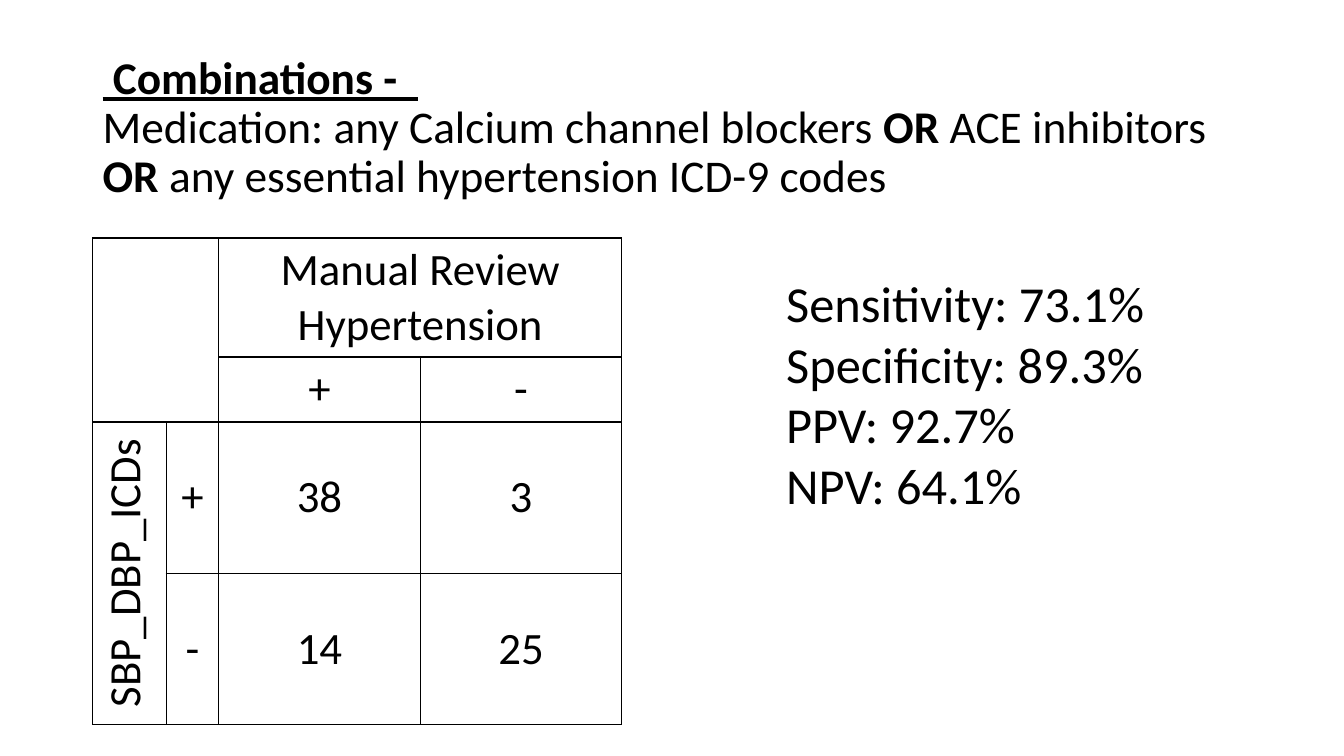
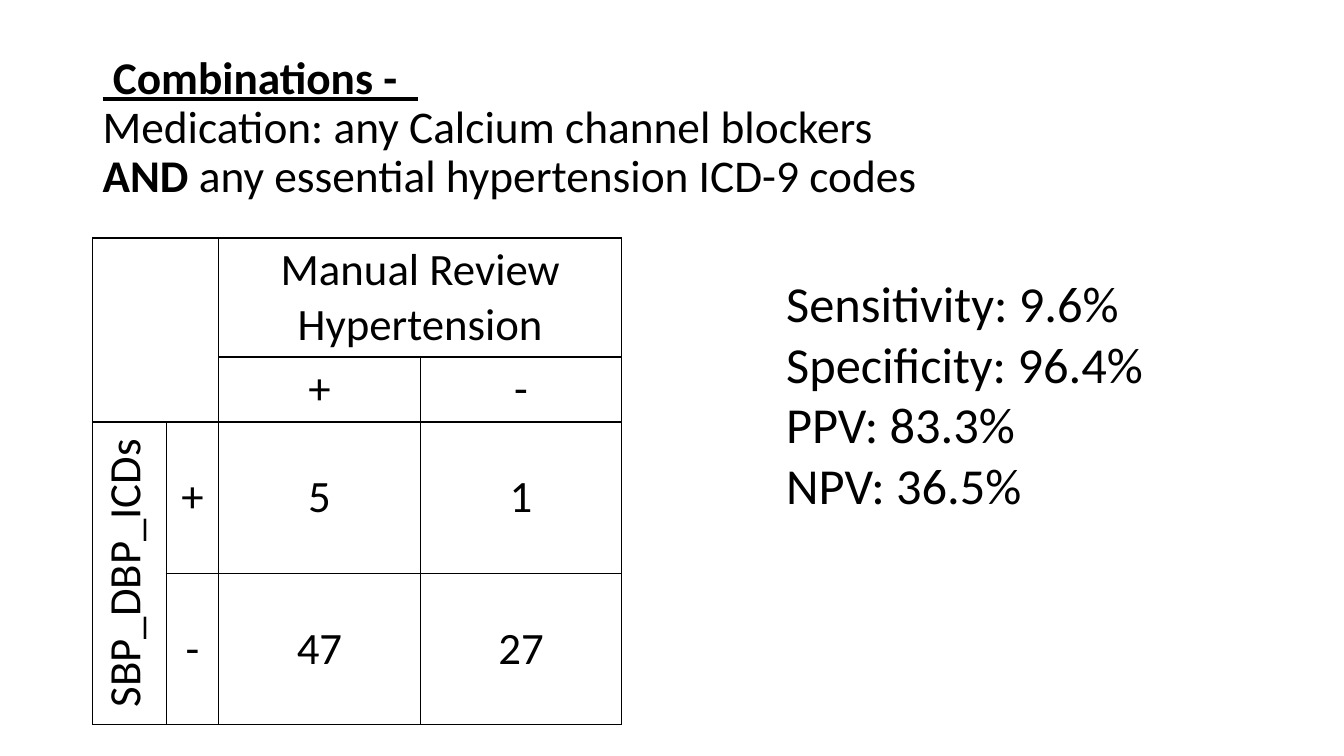
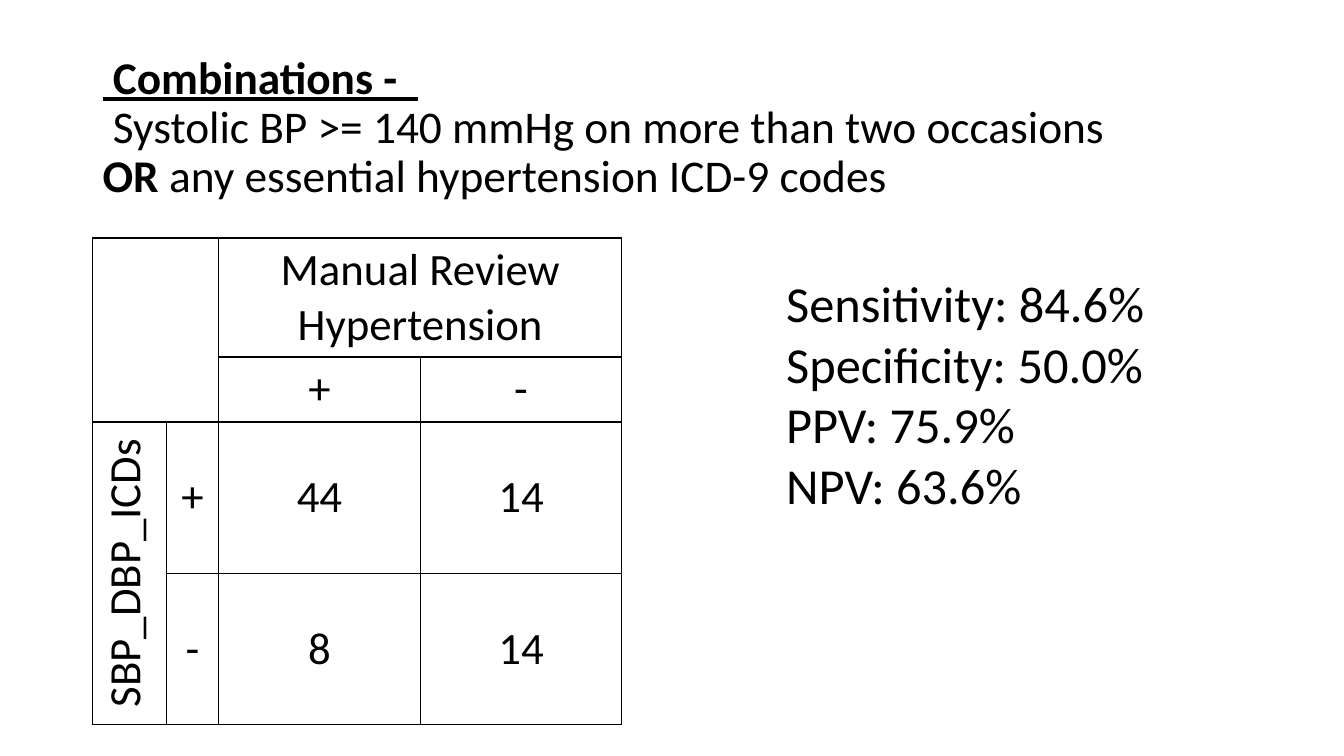
from lxml.etree import SubElement
from pptx import Presentation
from pptx.dml.color import RGBColor
from pptx.enum.text import MSO_ANCHOR, PP_ALIGN
from pptx.oxml.ns import qn
from pptx.util import Pt

COLORS = {"ink": "000000", "paper": "FFFFFF"}
FONT = "Calibri"
TITLE_SIZE, TABLE_SIZE, STATS_SIZE = 32.4, 32, 36
LEFT = 66.25
COLUMNS = (52.5, 37.5, 144, 144)
ROWS = (85, 46.5, 108, 108)
HEADING = " Combinations -  "
ICD_CODES = " any essential hypertension ICD-9 codes"

# Each title line is a list of (text, bold); counts are TP, FP, FN, TN.
SLIDES = [
    ([[("Medication: any Calcium channel blockers ", False), ("OR", True),
       (" ACE inhibitors", False)],
      [("OR", True), (ICD_CODES, False)]], (38, 3, 14, 25)),
    ([[("Medication: any Calcium channel blockers", False)],
      [("AND", True), (ICD_CODES, False)]], (5, 1, 47, 27)),
    ([[(" Systolic BP >= 140 mmHg on more than two occasions", False)],
      [("OR", True), (ICD_CODES, False)]], (44, 14, 8, 14)),
]


class Deck:
    """Holds the shared style and the current slide."""

    def __init__(self):
        """Start a widescreen presentation."""
        self.prs = Presentation()
        self.prs.slide_width, self.prs.slide_height = Pt(960), Pt(540)

    def add_slide(self):
        """Add a blank slide and make it current."""
        self.s = self.prs.slides.add_slide(self.prs.slide_layouts[6])
        fill = self.s.background.fill
        fill.solid()
        fill.fore_color.rgb = RGBColor.from_string(COLORS["paper"])

    def style(self, p, size):
        """Apply the deck font to a paragraph."""
        p.font.name, p.font.size = FONT, Pt(size)
        p.font.color.rgb = RGBColor.from_string(COLORS["ink"])

    def text_frame(self, left, top, width, height):
        """Add a wrapping text box and return its text frame."""
        sp = self.s.shapes.add_textbox(Pt(left), Pt(top), Pt(width), Pt(height))
        sp.text_frame.word_wrap = True
        return sp.text_frame

    def title(self, criteria):
        """Write the underlined heading and the criteria lines below it."""
        tf = self.text_frame(LEFT, 57, 872.5, 104.5)
        tf.vertical_anchor = MSO_ANCHOR.MIDDLE
        tf.margin_bottom = Pt(38.5)
        p = tf.paragraphs[0]
        p.line_spacing = 0.9
        self.style(p, TITLE_SIZE)
        r = p.add_run()
        r.text, r.font.bold, r.font.underline = HEADING, True, True
        for line in criteria:
            p.add_line_break()
            for text, bold in line:
                r = p.add_run()
                r.text, r.font.bold = text, bold

    def cell(self, cell, text):
        """Fill one table cell with centred text and thin borders."""
        cell.vertical_anchor = MSO_ANCHOR.MIDDLE
        p = cell.text_frame.paragraphs[0]
        p.text, p.alignment = text, PP_ALIGN.CENTER
        self.style(p, TABLE_SIZE)
        tc_pr = cell._tc.get_or_add_tcPr()
        for side in ("lnL", "lnR", "lnT", "lnB"):
            ln = SubElement(tc_pr, qn(f"a:{side}"), w=str(Pt(1)))
            solid = SubElement(ln, qn("a:solidFill"))
            SubElement(solid, qn("a:srgbClr"), val=COLORS["ink"])
        cell.fill.background()

    def table(self, tp, fp, fn, tn):
        """Draw the two-by-two table of test against manual review."""
        texts = [("", "", "Manual Review Hypertension", ""),
                 ("", "", "+", "-"),
                 ("SBP_DBP_ICDs", "+", str(tp), str(fp)),
                 ("", "-", str(fn), str(tn))]
        table = self.s.shapes.add_table(
            len(ROWS), len(COLUMNS), Pt(LEFT), Pt(170),
            Pt(sum(COLUMNS)), Pt(sum(ROWS))).table
        table.first_row = table.horz_banding = False
        for column, width in zip(table.columns, COLUMNS):
            column.width = Pt(width)
        for row, height, values in zip(table.rows, ROWS, texts):
            row.height = Pt(height)
            for cell, text in zip(row.cells, values):
                self.cell(cell, text)
        review, test = table.cell(0, 2), table.cell(2, 0)
        table.cell(0, 0).merge(table.cell(1, 1))
        review.merge(table.cell(0, 3))
        test.merge(table.cell(3, 0))
        review.vertical_anchor = MSO_ANCHOR.TOP
        test._tc.get_or_add_tcPr().set("vert", "vert270")

    def stats(self, tp, fp, fn, tn):
        """List the accuracy measures that follow from the counts."""
        measures = [("Sensitivity", tp / (tp + fn)),
                    ("Specificity", tn / (tn + fp)),
                    ("PPV", tp / (tp + fp)),
                    ("NPV", tn / (tn + fn))]
        tf = self.text_frame(554.5, 191, 282, 181.5)
        for i, (name, value) in enumerate(measures):
            p = tf.add_paragraph() if i else tf.paragraphs[0]
            p.text = f"{name}: {value:.1%}"
            self.style(p, STATS_SIZE)


deck = Deck()
for criteria, counts in SLIDES:
    deck.add_slide()
    deck.title(criteria)
    deck.table(*counts)
    deck.stats(*counts)
deck.prs.save("out.pptx")
